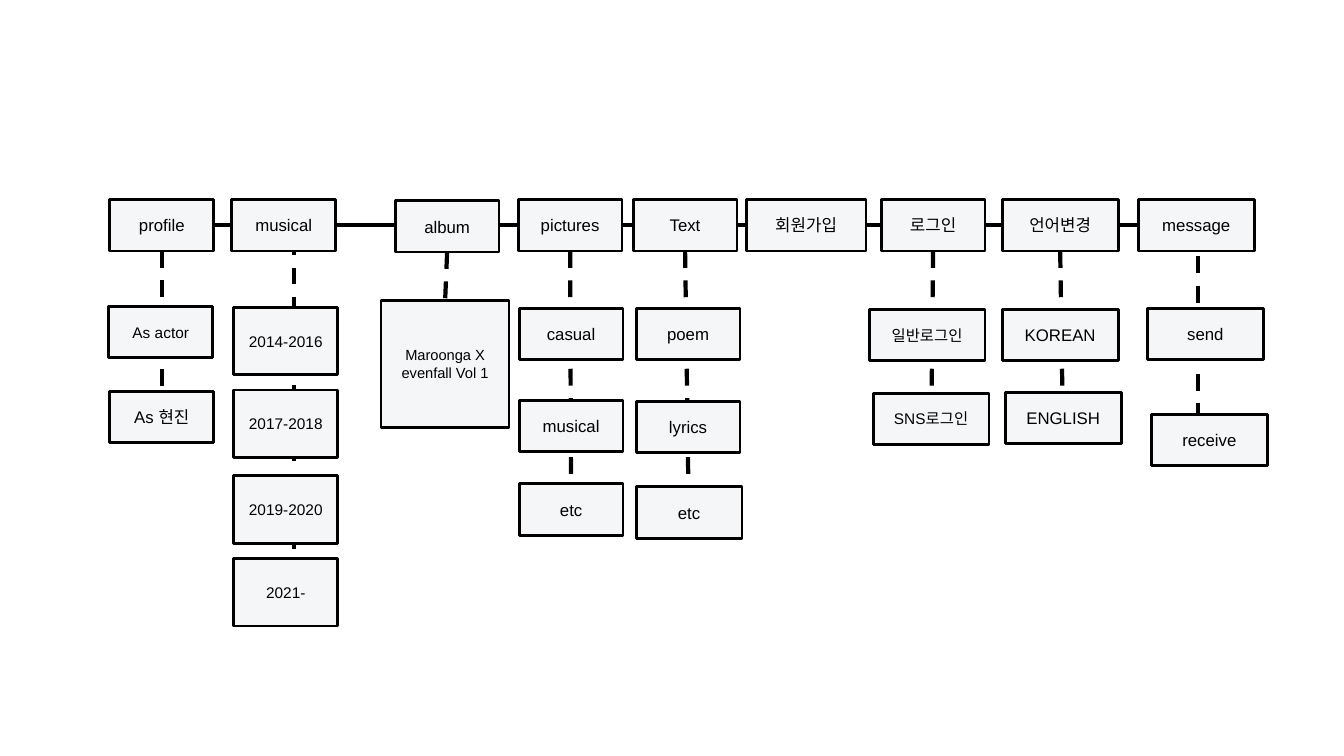
from lxml import etree
from pptx import Presentation
from pptx.dml.color import RGBColor
from pptx.enum import dml, shapes, text
from pptx.oxml.ns import qn
from pptx.util import Inches, Pt

THEME = {
    "font": "Arial", "ink": RGBColor(0, 0, 0), "fill": RGBColor(0xF5, 0xF6, 0xF7),
    "label": 12, "small": 11, "smallest": 10.5, "border": 2, "link": 3,
}
TOP, BOX_HEIGHT, YEAR_HEIGHT = 1.98, 0.51, 0.67
NARROW, WIDE = 1.03, 1.15
TOP_SIDE, LEFT_SIDE, BOTTOM_SIDE, RIGHT_SIDE = range(4)

# Each column: its boxes from the menu item down, as
# (label, left, top, width, height, size), and how its dashed line ends:
# a side of the last box, fixed (x, from y, to y), or None for no line.
COLUMNS = [
    ([("profile", 1.09, TOP, NARROW, BOX_HEIGHT, "label"),
      ("As actor", 1.08, 3.04, NARROW, BOX_HEIGHT, "small"),
      ("As 현진", 1.09, 3.88, NARROW, BOX_HEIGHT, "label")], BOTTOM_SIDE),
    ([("musical", 2.3, TOP, NARROW, BOX_HEIGHT, "label"),
      ("2014-2016", 2.32, 3.05, NARROW, YEAR_HEIGHT, "small"),
      ("2017-2018", 2.32, 3.87, NARROW, YEAR_HEIGHT, "small"),
      ("2019-2020", 2.32, 4.72, NARROW, YEAR_HEIGHT, "small"),
      ("2021-", 2.32, 5.54, NARROW, YEAR_HEIGHT, "small")], (2.92, 2.07, 6.22)),
    ([("album", 3.92, 1.99, NARROW, BOX_HEIGHT, "label"),
      ("Maroonga X evenfall Vol 1", 3.78, 2.98, 1.27, 1.26, "smallest")], TOP_SIDE),
    ([("pictures", 5.14, TOP, NARROW, BOX_HEIGHT, "label"),
      ("casual", 5.15, 3.06, NARROW, BOX_HEIGHT, "label"),
      ("musical", 5.15, 3.97, NARROW, BOX_HEIGHT, "label"),
      ("etc", 5.15, 4.8, NARROW, BOX_HEIGHT, "label")], BOTTOM_SIDE),
    ([("Text", 6.28, TOP, NARROW, BOX_HEIGHT, "label"),
      ("poem", 6.31, 3.06, NARROW, BOX_HEIGHT, "label"),
      ("lyrics", 6.31, 3.98, NARROW, BOX_HEIGHT, "label"),
      ("etc", 6.31, 4.83, 1.05, BOX_HEIGHT, "label")], BOTTOM_SIDE),
    ([("회원가입", 7.4, TOP, 1.19, BOX_HEIGHT, "label")], None),
    ([("로그인", 8.74, TOP, NARROW, BOX_HEIGHT, "label"),
      ("일반로그인", 8.62, 3.07, WIDE, BOX_HEIGHT, "small"),
      ("SNS로그인", 8.66, 3.9, WIDE, BOX_HEIGHT, "small")], BOTTOM_SIDE),
    ([("언어변경", 9.94, TOP, WIDE, BOX_HEIGHT, "label"),
      ("KOREAN", 9.94, 3.07, WIDE, BOX_HEIGHT, "label"),
      ("ENGLISH", 9.97, 3.89, WIDE, BOX_HEIGHT, "label")], BOTTOM_SIDE),
    ([("message", 11.29, TOP, WIDE, BOX_HEIGHT, "label"),
      ("send", 11.38, 3.06, WIDE, BOX_HEIGHT, "label"),
      ("receive", 11.42, 4.11, WIDE, BOX_HEIGHT, "label")], (11.88, 2.25, 4.56)),
]


def set_all(target, values):
    for name, value in values.items():
        setattr(target, name, value)


def add_box(slide, label, left, top, width, height, size):
    shape = slide.shapes.add_shape(
        shapes.MSO_SHAPE.RECTANGLE, *map(Inches, (left, top, width, height)))
    shape.shadow.inherit = False
    shape.fill.solid()
    shape.fill.fore_color.rgb = THEME["fill"]
    shape.line.color.rgb = THEME["ink"]
    shape.line.width = Pt(THEME["border"])
    frame = shape.text_frame
    set_all(frame, {"word_wrap": True, "vertical_anchor": text.MSO_ANCHOR.MIDDLE})
    paragraph = frame.paragraphs[0]
    paragraph.alignment = text.PP_ALIGN.CENTER
    run = paragraph.add_run()
    run.text = label
    set_all(run.font, {"name": THEME["font"], "size": Pt(THEME[size])})
    run.font.color.rgb = THEME["ink"]
    return shape


def add_link(slide, x1=0, y1=0, x2=0, y2=0, dashed=True):
    link = slide.shapes.add_connector(
        shapes.MSO_CONNECTOR.STRAIGHT, *map(Inches, (x1, y1, x2, y2)))
    link.line.color.rgb = THEME["ink"]
    link.line.width = Pt(THEME["link"])
    if dashed:
        link.line.dash_style = dml.MSO_LINE.DASH
    etree.SubElement(link._element.spPr, qn("a:effectLst"))
    return link


def join(link, first, first_side, last, last_side):
    link.begin_connect(first, first_side)
    link.end_connect(last, last_side)


def main():
    presentation = Presentation()
    set_all(presentation, {"slide_width": Inches(13.33), "slide_height": Inches(7.5)})
    slide = presentation.slides.add_slide(presentation.slide_layouts[6])

    # Links come first so that they lie behind the boxes.
    column_links = []
    for _, end in COLUMNS:
        if isinstance(end, tuple):
            x, start_y, end_y = end
            add_link(slide, x, start_y, x, end_y)
        column_links.append(add_link(slide) if isinstance(end, int) else None)
    menu_link = add_link(slide, dashed=False)

    menu = []
    for (boxes, end), link in zip(COLUMNS, column_links):
        column = [add_box(slide, *box) for box in boxes]
        menu.append(column[0])
        if link is not None:
            join(link, column[0], BOTTOM_SIDE, column[-1], end)
    join(menu_link, menu[0], LEFT_SIDE, menu[-1], RIGHT_SIDE)

    presentation.save("out.pptx")


if __name__ == "__main__":
    main()
